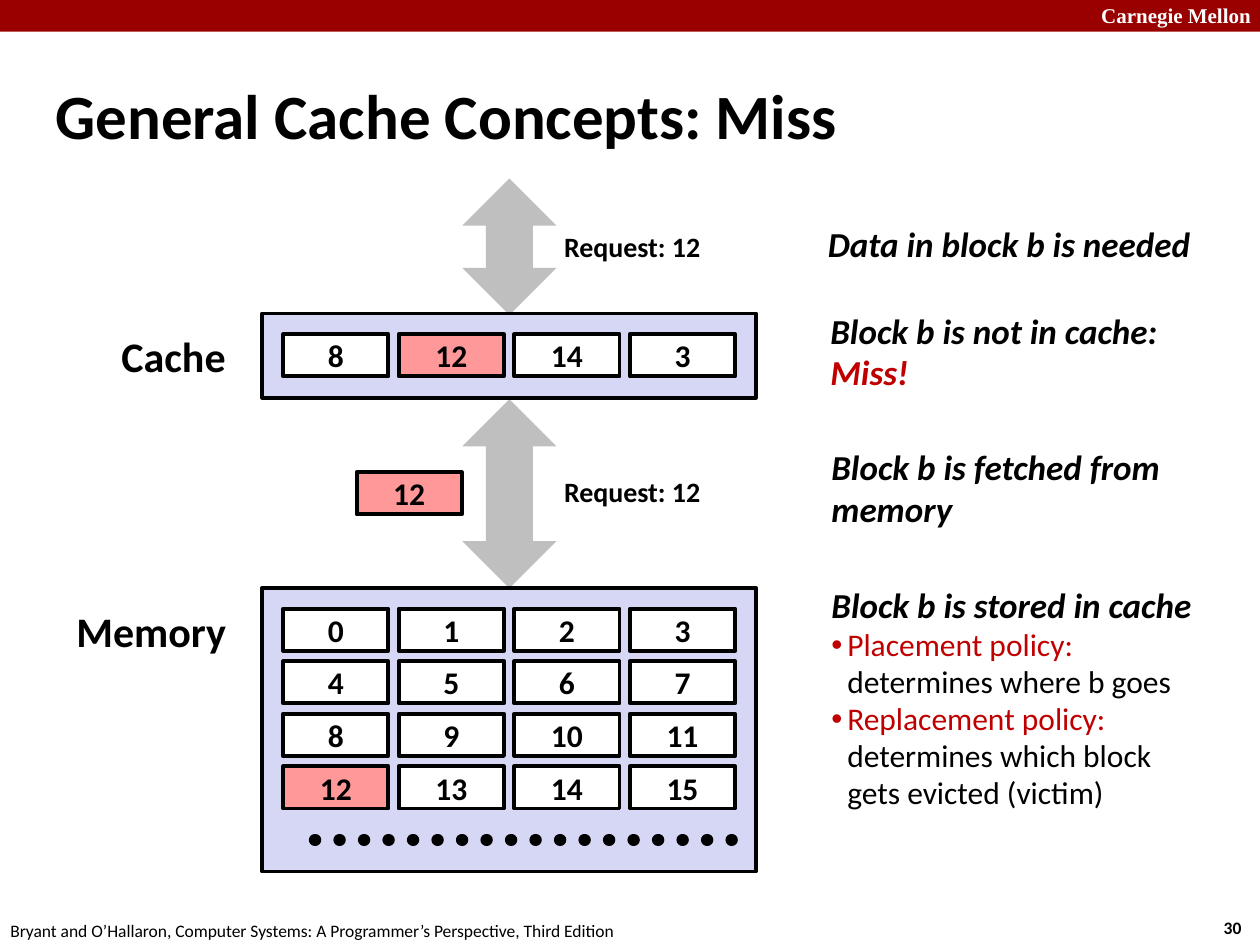
import dataclasses

import lxml.etree
import pptx
import pptx.dml.color
import pptx.enum.dml
import pptx.enum.shapes
import pptx.enum.text
import pptx.oxml.ns
import pptx.util

Cm = pptx.util.Cm
Pt = pptx.util.Pt
Align = pptx.enum.text.PP_ALIGN
Anchor = pptx.enum.text.MSO_ANCHOR
Preset = pptx.enum.shapes.MSO_SHAPE
qn = pptx.oxml.ns.qn


@dataclasses.dataclass(frozen=True)
class Theme:
    """Colours, fonts, type sizes and line widths of the slide."""

    banner: str = "990000"
    ink: str = "000000"
    paper: str = "FFFFFF"
    panel: str = "D6D6F5"
    highlight: str = "FF9999"
    arrow: str = "BFBFBF"
    accent: str = "C00000"
    font: str = "Calibri"
    banner_font: str = "Times New Roman"
    title: int = 36
    label: int = 24
    note: int = 20
    block: int = 18
    request: int = 16
    banner_size: int = 12
    footer: int = 10
    border: float = 2.25
    dots: int = 7


THEME = Theme()


def style_run(run, size, color=THEME.ink, bold=True, italic=False, font=THEME.font):
    """Set the character format of one run."""
    run.font.name = font
    run.font.size = Pt(size)
    run.font.bold = bold
    run.font.italic = italic
    run.font.color.rgb = pptx.dml.color.RGBColor.from_string(color)


def write_text(shape, text, size, align=Align.LEFT, anchor=Anchor.TOP, wrap=False, spacing=1.0, **style):
    """Write text into a shape, one paragraph for each line."""
    frame = shape.text_frame
    frame.text = text
    frame.auto_size = pptx.enum.text.MSO_AUTO_SIZE.NONE
    frame.word_wrap = wrap
    frame.vertical_anchor = anchor
    frame.margin_left = frame.margin_right = Cm(0.13)
    frame.margin_top = frame.margin_bottom = Cm(0.13)
    for paragraph in frame.paragraphs:
        paragraph.alignment = align
        paragraph.line_spacing = spacing
        paragraph.space_before = Pt(0)
        for run in paragraph.runs:
            style_run(run, size, **style)
    return frame


def add_text(slide, box, text, size, **options):
    """Add a text box at the given box in centimetres."""
    shape = slide.shapes.add_textbox(*map(Cm, box))
    return write_text(shape, text, size, **options)


def add_filled(slide, preset, box, fill, outlined=False):
    """Add a flat preset shape, with a black outline if asked."""
    shape = slide.shapes.add_shape(preset, *map(Cm, box))
    shape.shadow.inherit = False
    shape.fill.solid()
    shape.fill.fore_color.rgb = pptx.dml.color.RGBColor.from_string(fill)
    if outlined:
        shape.line.color.rgb = pptx.dml.color.RGBColor.from_string(THEME.ink)
        shape.line.width = Pt(THEME.border)
    else:
        shape.line.fill.background()
    return shape


def add_block(slide, box, number, highlighted=False):
    """Add one numbered memory block."""
    fill = THEME.highlight if highlighted else THEME.paper
    shape = add_filled(slide, Preset.RECTANGLE, box, fill, outlined=True)
    write_text(shape, str(number), THEME.block, align=Align.CENTER, anchor=Anchor.MIDDLE)


def add_storage(slide, box, numbers, wanted, columns=4):
    """Add a panel holding a grid of blocks, the wanted one highlighted."""
    left, top, width, _ = box
    padding, gap, height = 0.42, 0.21, 0.85
    block_width = (width - 2 * padding - (columns - 1) * gap) / columns
    add_filled(slide, Preset.RECTANGLE, box, THEME.panel, outlined=True)
    for index, number in enumerate(numbers):
        row, column = divmod(index, columns)
        block_box = (
            left + padding + column * (block_width + gap),
            top + padding + row * (height + gap),
            block_width,
            height,
        )
        add_block(slide, block_box, number, number == wanted)


def add_dots(slide, left, top, width):
    """Add the dotted line that stands for further blocks."""
    connector = slide.shapes.add_connector(
        pptx.enum.shapes.MSO_CONNECTOR.STRAIGHT, Cm(left), Cm(top), Cm(left + width), Cm(top)
    )
    connector.line.color.rgb = pptx.dml.color.RGBColor.from_string(THEME.ink)
    connector.line.width = Pt(THEME.dots)
    connector.line.dash_style = pptx.enum.dml.MSO_LINE.ROUND_DOT
    properties = connector._element.spPr
    properties.find(qn("a:ln")).set("cap", "rnd")
    lxml.etree.SubElement(properties, qn("a:effectLst"))


def add_transfer(slide, box, request_offset):
    """Add a two-way arrow with its request label on the right."""
    left, top, width, _ = box
    add_filled(slide, Preset.UP_DOWN_ARROW, box, THEME.arrow)
    label_box = (left + width, top + request_offset, 3.05, 0.84)
    add_text(slide, label_box, "Request: 12", THEME.request, align=Align.CENTER)


def add_frame(slide, width, height):
    """Add the banner, the source line and the page number."""
    add_filled(slide, Preset.RECTANGLE, (0, 0, width, 0.64), THEME.banner)
    add_text(slide, (width - 3.33, -0.08, 3.38, 0.76), "Carnegie Mellon", THEME.banner_size,
             color=THEME.paper, font=THEME.banner_font)
    add_text(slide, (0.08, height - 0.64, 12.5, 0.64),
             "Bryant and O’Hallaron, Computer Systems: A Programmer’s Perspective, Third Edition",
             THEME.footer, bold=False)
    add_text(slide, (width - 0.86, height - 0.69, 0.64, 0.64), "30", THEME.footer)


def place(shape, box):
    """Move a placeholder to the given box in centimetres."""
    shape.left, shape.top, shape.width, shape.height = map(Cm, box)


def add_title(slide, box):
    """Fill the title placeholder."""
    place(slide.shapes.title, box)
    write_text(slide.shapes.title, "General Cache Concepts: Miss", THEME.title,
               anchor=Anchor.MIDDLE, wrap=True)


def add_policies(slide, box):
    """Fill the body placeholder with the storing step and its policies."""
    body = slide.placeholders[1]
    place(body, box)
    text = "\n".join([
        "Block b is stored in cache",
        "Placement policy:\vdetermines where b goes",
        "Replacement policy:\vdetermines which block\vgets evicted (victim)",
    ])
    frame = write_text(body, text, THEME.block, anchor=Anchor.MIDDLE, spacing=0.98, bold=False)
    heading, *policies = frame.paragraphs
    style_run(heading.runs[0], THEME.note, italic=True)
    properties = heading._p.get_or_add_pPr()
    properties.set("marL", "0")
    properties.set("indent", "0")
    lxml.etree.SubElement(properties, qn("a:buNone"))
    for policy in policies:
        properties = policy._p.get_or_add_pPr()
        properties.set("marL", str(Cm(0.32)))
        properties.set("indent", str(Cm(-0.32)))
        lxml.etree.SubElement(properties, qn("a:buFont"), typeface="Arial")
        lxml.etree.SubElement(properties, qn("a:buChar"), char="•")
        style_run(policy.runs[0], THEME.block, color=THEME.accent, bold=False)
        for line_break in policy._p.findall(qn("a:br")):
            lxml.etree.SubElement(line_break, qn("a:rPr"), sz=str(THEME.block * 100))


def add_steps(slide, left):
    """Add the commentary column on the right."""
    options = {"anchor": Anchor.MIDDLE, "spacing": 0.98, "italic": True}
    add_text(slide, (left, 4.47, 7.6, 0.94), "Data in block b is needed", THEME.note, **options)
    miss = add_text(slide, (left + 0.05, 6.22, 6.88, 1.78), "Block b is not in cache:\nMiss!",
                    THEME.note, **options)
    style_run(miss.paragraphs[1].runs[0], THEME.note, color=THEME.accent, italic=True)
    add_text(slide, (left + 0.07, 8.97, 6.91, 1.78), "Block b is fetched from\nmemory",
             THEME.note, **options)
    add_policies(slide, (left + 0.07, 11.61, 7.55, 4.95))


def add_diagram(slide, left, width):
    """Add the cache, the memory and the transfers between them."""
    arrow_left, arrow_width = left + 4.03, 1.9
    add_transfer(slide, (arrow_left, 3.6, arrow_width, 2.75), 0.9)
    add_transfer(slide, (arrow_left, 8.05, arrow_width, 3.81), 1.38)
    add_storage(slide, (left, 6.32, width, 1.7), [8, 12, 14, 3], 12)
    add_storage(slide, (left, 11.85, width, 5.72), range(16), 12)
    add_dots(slide, left + 1.06, 16.93, width - 1.48)
    add_block(slide, (left + 1.9, 9.52, 2.12, 0.85), 12, highlighted=True)
    add_text(slide, (left - 2.97, 6.53, 2.39, 1.09), "Cache", THEME.label)
    add_text(slide, (left - 3.88, 12.07, 3.3, 1.09), "Memory", THEME.label)


def main():
    """Build and save the presentation."""
    presentation = pptx.Presentation()
    width, height = 25.4, 19.05
    presentation.slide_width, presentation.slide_height = Cm(width), Cm(height)
    slide = presentation.slides.add_slide(presentation.slide_layouts[1])
    add_frame(slide, width, height)
    add_title(slide, (0.99, 1.24, 21.08, 2.11))
    add_diagram(slide, 5.29, 9.95)
    add_steps(slide, 16.56)
    presentation.save("out.pptx")


if __name__ == "__main__":
    main()
